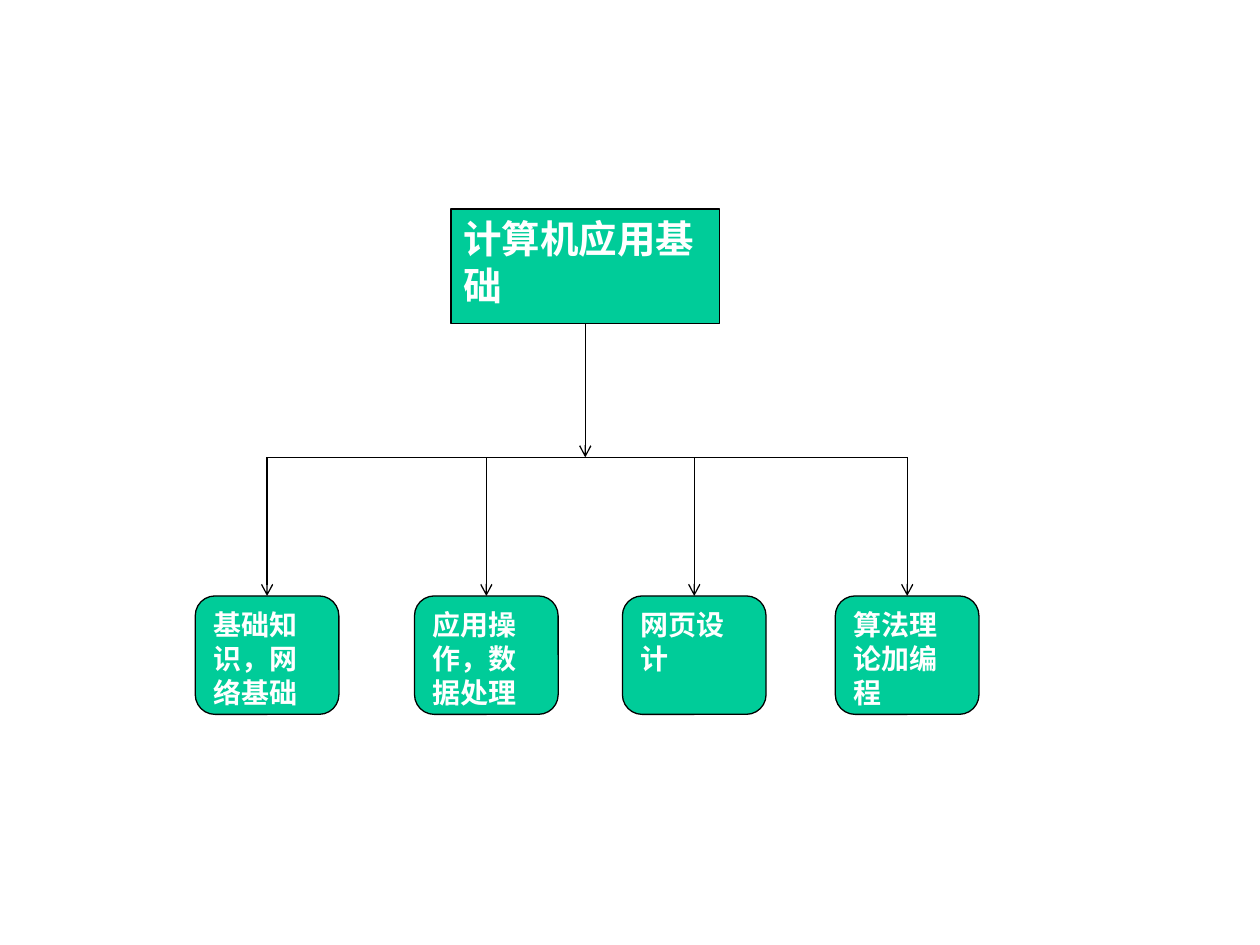
from lxml import etree
from pptx import Presentation
from pptx.dml.color import RGBColor
from pptx.enum.shapes import MSO_CONNECTOR, MSO_SHAPE
from pptx.enum.text import MSO_ANCHOR, PP_ALIGN
from pptx.oxml.ns import qn
from pptx.util import Inches, Pt

COLORS = {"fill": "00CC99", "line": "000000", "text": "FFFFFF"}
FONT = "Times New Roman"


def add_box(s, kind, box, text, size):
    sp = s.shapes.add_shape(kind, *[Inches(v) for v in box])
    sp.shadow.inherit = False
    sp.fill.solid()
    sp.fill.fore_color.rgb = RGBColor.from_string(COLORS["fill"])
    sp.line.color.rgb = RGBColor.from_string(COLORS["line"])
    sp.line.width = Pt(0.75)
    tf = sp.text_frame
    tf.word_wrap = True
    tf.vertical_anchor = MSO_ANCHOR.TOP
    p = tf.paragraphs[0]
    p.text = text
    p.alignment = PP_ALIGN.LEFT
    p.font.name, p.font.size, p.font.bold = FONT, Pt(size), True
    p.font.color.rgb = RGBColor.from_string(COLORS["text"])


def add_line(s, x1, y1, x2, y2, arrow=False):
    ends = [Inches(v) for v in (x1, y1, x2, y2)]
    line = s.shapes.add_connector(MSO_CONNECTOR.STRAIGHT, *ends)
    line.line.color.rgb = RGBColor.from_string(COLORS["line"])
    line.line.width = Pt(0.75)
    if arrow:
        ln = line.line._get_or_add_ln()
        etree.SubElement(ln, qn("a:tailEnd"), type="arrow")
    etree.SubElement(line._element.spPr, qn("a:effectLst"))


def add_tree(s, left, top, root, branches):
    """Draw a root box above a row of branches; each branch is (offset, text)."""
    root_x, root_w, root_h = 2.03, 2.13, 0.91
    leaf_w, leaf_h = 1.14, 0.94
    bar_y, leaf_y = top + 1.97, top + 3.07

    # Root and its stem
    add_box(s, MSO_SHAPE.RECTANGLE, (left + root_x, top, root_w, root_h), root, 22)
    stem_x = left + root_x + root_w / 2
    add_line(s, stem_x, top + root_h, stem_x, bar_y, arrow=True)

    # Crossbar from first to last branch
    centers = [left + x + leaf_w / 2 for x, _ in branches]
    add_line(s, centers[0], bar_y, centers[-1], bar_y)

    # Branches
    for center, (x, text) in zip(centers, branches):
        add_line(s, center, bar_y, center, leaf_y, arrow=True)
        add_box(s, MSO_SHAPE.ROUNDED_RECTANGLE,
                (left + x, leaf_y, leaf_w, leaf_h), text, 16)


prs = Presentation()
prs.slide_width, prs.slide_height = Inches(10), Inches(7.5)
s = prs.slides.add_slide(prs.slide_layouts[6])
add_tree(s, 1.55, 1.66, "计算机应用基础", [
    (0, "基础知识，网络基础"),
    (1.74, "应用操作，数据处理"),
    (3.39, "网页设计"),
    (5.08, "算法理论加编程"),
])
prs.save("out.pptx")
